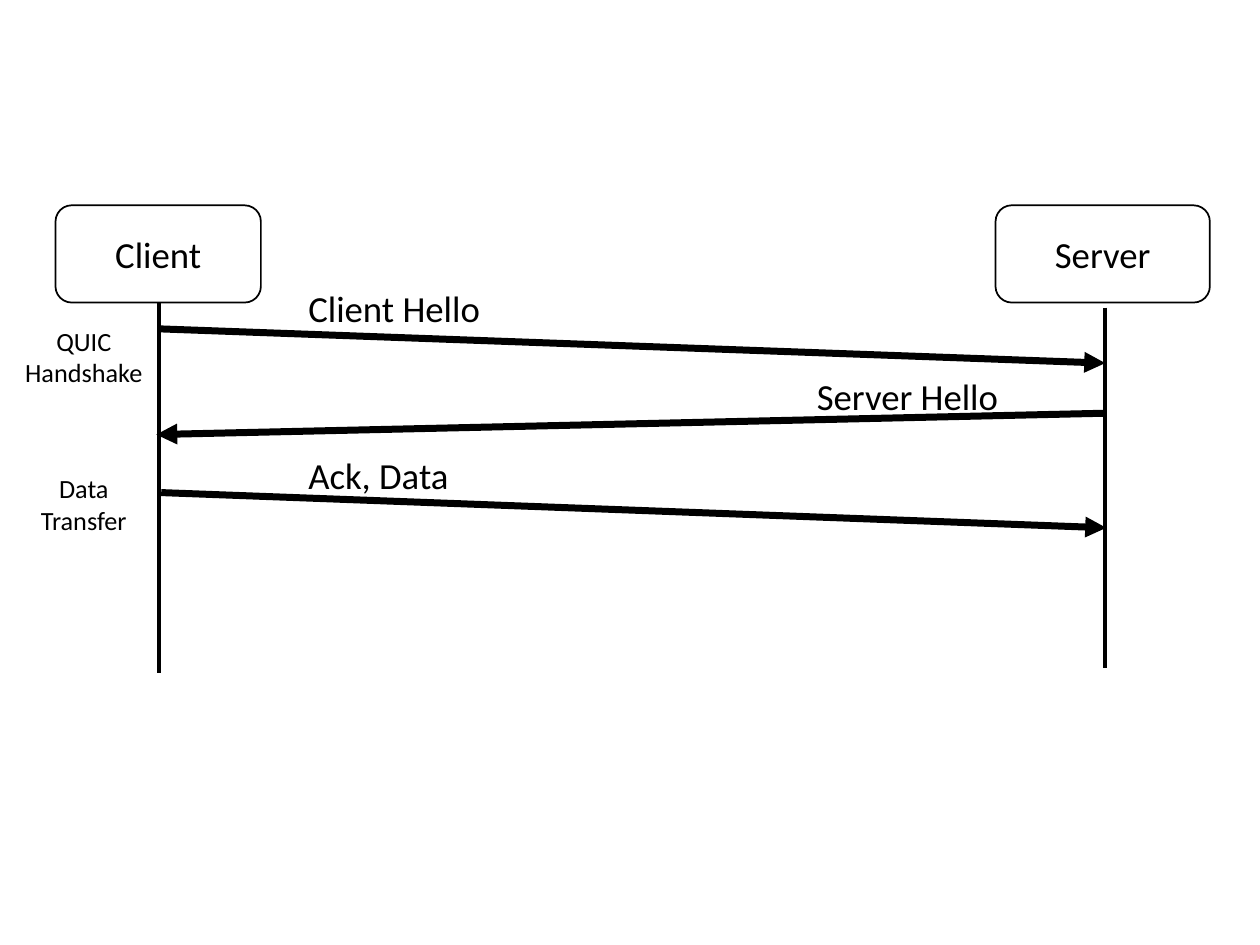
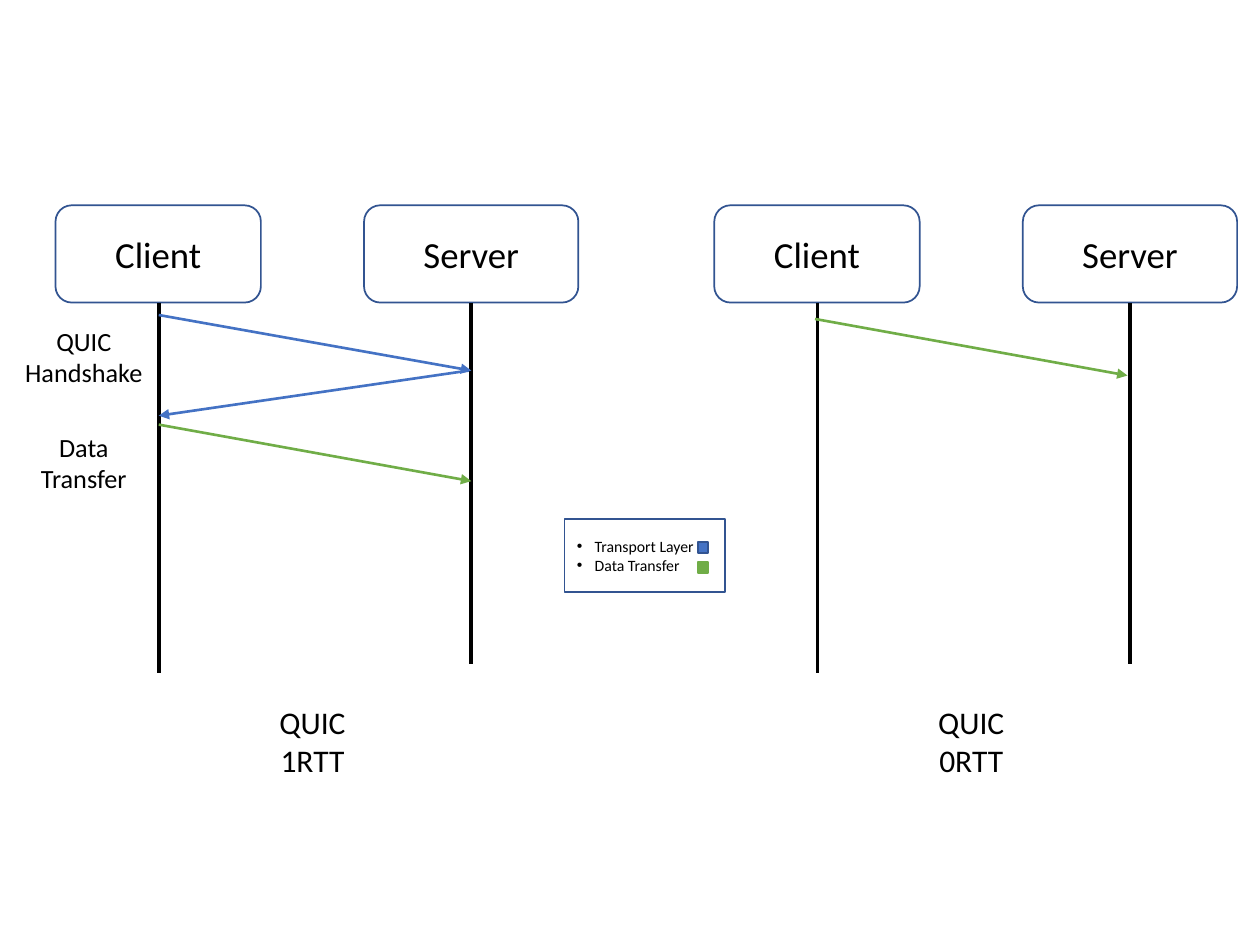
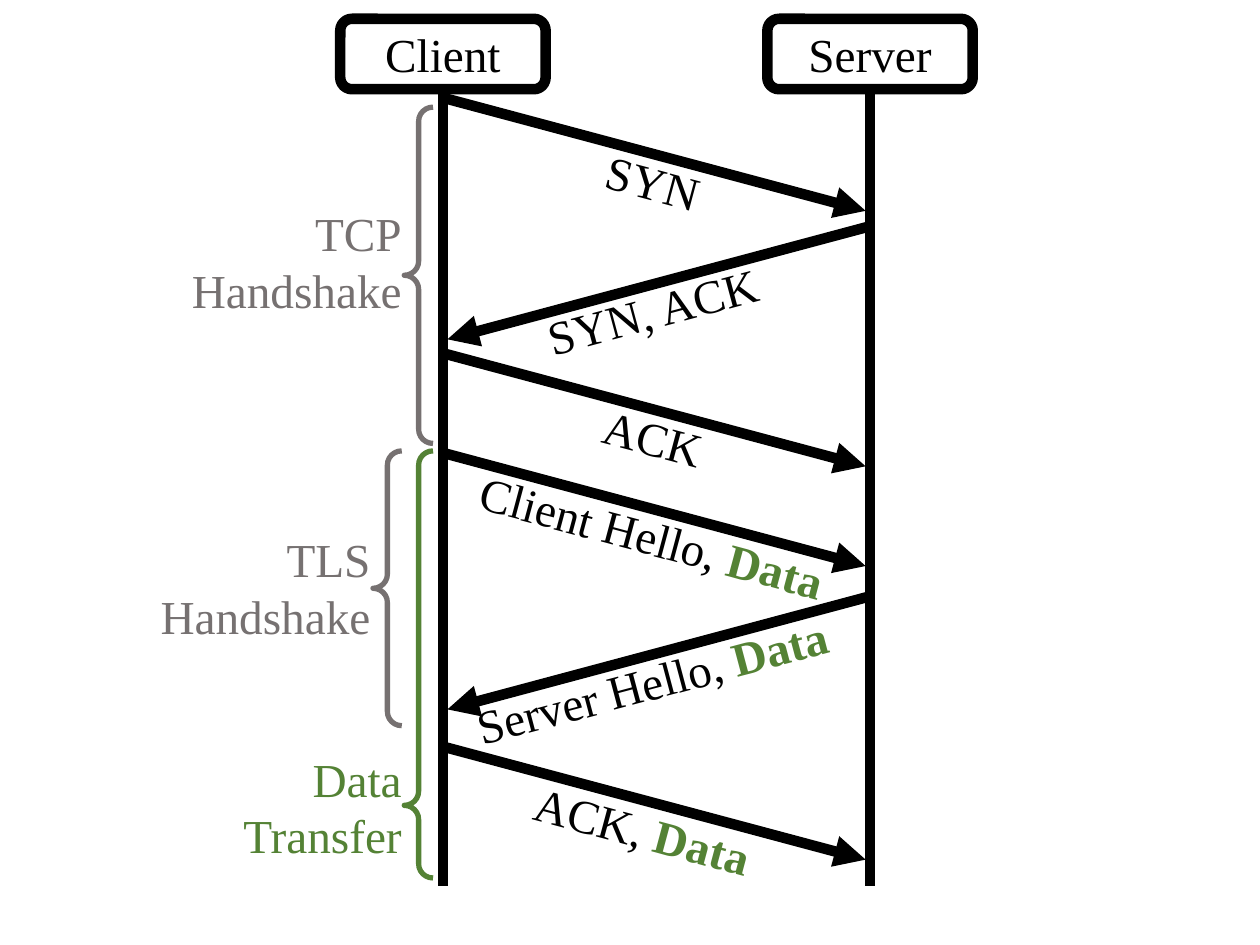
from lxml.etree import SubElement
from pptx import Presentation
from pptx.dml.color import RGBColor
from pptx.enum.shapes import MSO_CONNECTOR, MSO_SHAPE
from pptx.enum.text import MSO_ANCHOR, MSO_AUTO_SIZE, PP_ALIGN
from pptx.oxml.ns import qn
from pptx.util import Cm, Pt

BLACK = RGBColor(0x00, 0x00, 0x00)
WHITE = RGBColor(0xFF, 0xFF, 0xFF)
NAVY = RGBColor(0x32, 0x54, 0x91)
BLUE = RGBColor(0x44, 0x72, 0xC4)
GREEN = RGBColor(0x70, 0xAD, 0x47)
DARK_GREEN = RGBColor(0x54, 0x82, 0x35)
GRAY = RGBColor(0x76, 0x71, 0x71)

SANS = "Calibri"
SERIF = "Times New Roman"
LEFT, CENTER, RIGHT = PP_ALIGN.LEFT, PP_ALIGN.CENTER, PP_ALIGN.RIGHT

BOX_TOP, BOX_H = 4.14, 1.96
CLIENT_LEFT, CLIENT_W, SERVER_W = 1.12, 4.14, 4.32
CLIENT_X, CLIENT_END = 3.2, 13.56

HELLO_SERVER_LEFT = 20.07
HELLO_ARROWS = [
    (3.23, 6.63, 22.28, 7.32),
    (22.28, 8.33, 3.15, 8.76),
    (3.25, 9.93, 22.3, 10.64),
]
HELLO_LABELS = [
    ("Client Hello", 5.87, 5.23, LEFT),
    ("Server Hello", 13.28, 7.01, RIGHT),
    ("Ack, Data", 5.87, 8.59, LEFT),
]
HELLO_PHASES = [("QUIC\nHandshake", 6.43), ("Data\nTransfer", 9.4)]

RTT_SERVER_LEFT = 7.34
RTT_PANELS = [
    (0, "QUIC\n1RTT", [
        (3.2, 6.35, 9.5, 7.47, BLUE),
        (9.45, 7.47, 3.2, 8.38, BLUE),
        (3.2, 8.56, 9.5, 9.7, GREEN),
    ]),
    (13.28, "QUIC\n0RTT", [(3.15, 6.43, 9.45, 7.57, GREEN)]),
]
RTT_PHASES = [("QUIC\nHandshake", 6.43), ("Data\nTransfer", 8.56)]
LEGEND = "Transport Layer\nData Transfer"
SWATCHES = [(10.92, BLUE, NAVY), (11.33, GREEN, GREEN)]

TCP_HOSTS = [("Client", 6.86), ("Server", 15.47)]
TCP_BOX_TOP, TCP_BOX_W, TCP_BOX_H, TCP_END = 0.38, 4.14, 1.42, 17.86
TO_SERVER, TO_CLIENT = (8.89, 17.45), (17.58, 9.02)
TCP_DROP, LABEL_X, LABEL_GAP, LABEL_H = 2.29, 13.18, 0.57, 1.42
TCP_MESSAGES = [
    ("SYN", "", 1.96, 2.44),
    ("SYN, ACK", "", 4.55, 4.9),
    ("ACK", "", 7.11, 2.54),
    ("Client Hello, ", "Data", 9.12, 7.7),
    ("Server Hello, ", "Data", 12.01, 7.85),
    ("ACK, ", "Data", 15.04, 5),
]
TCP_PHASES = [
    ("TCP\vHandshake", GRAY, 8.15, 2.16, 6.78, 0.5, 3.99, 4.78),
    ("TLS\vHandshake", GRAY, 7.52, 9.09, 5.54, 0.5, 10.57, 4.78),
    ("Data\vTransfer", DARK_GREEN, 8.15, 9.09, 8.61, 0.83, 14.99, 3.73),
]


def put_text(sp, text, size=21, font=SANS, color=BLACK, align=LEFT,
             accent="", bullet=False):
    tf = sp.text_frame
    for i, line in enumerate(text.split("\n")):
        p = tf.paragraphs[0] if i == 0 else tf.add_paragraph()
        p.text = line
        p.alignment = align
        if bullet:
            pPr = p._p.get_or_add_pPr()
            pPr.set("marL", str(Cm(0.36)))
            pPr.set("indent", str(-Cm(0.36)))
            SubElement(pPr, qn("a:buFont"), typeface="Arial")
            SubElement(pPr, qn("a:buChar"), char="•")
        if accent:
            p.add_run().text = accent
        for r in p.runs:
            r.font.size = Pt(size)
            r.font.name = font
            r.font.color.rgb = color
        if accent:
            r.font.bold = True
            r.font.color.rgb = DARK_GREEN


def add_box(slide, x, y, w, h, text="", kind=MSO_SHAPE.ROUNDED_RECTANGLE,
            fill=None, line=None, width=1, **style):
    sp = slide.shapes.add_shape(kind, Cm(x), Cm(y), Cm(w), Cm(h))
    sp.shadow.inherit = False
    if fill is None:
        sp.fill.background()
    else:
        sp.fill.solid()
        sp.fill.fore_color.rgb = fill
    if line is None:
        sp.line.fill.background()
    else:
        sp.line.color.rgb = line
        sp.line.width = Pt(width)
    if text:
        sp.text_frame.word_wrap = True
        sp.text_frame.vertical_anchor = MSO_ANCHOR.MIDDLE
        put_text(sp, text, **style)
    return sp


def add_label(slide, x, y, w, h, text, wrap=True, rotation=0, **style):
    sp = slide.shapes.add_textbox(Cm(x), Cm(y), Cm(w), Cm(h))
    sp.rotation = rotation
    sp.text_frame.word_wrap = wrap
    sp.text_frame.auto_size = MSO_AUTO_SIZE.SHAPE_TO_FIT_TEXT
    put_text(sp, text, **style)


def add_line(slide, x1, y1, x2, y2, color=BLACK, width=2.25, arrow=False):
    cx = slide.shapes.add_connector(
        MSO_CONNECTOR.STRAIGHT, Cm(x1), Cm(y1), Cm(x2), Cm(y2))
    cx.line.color.rgb = color
    cx.line.width = Pt(width)
    if arrow:
        SubElement(cx.line._get_or_add_ln(), qn("a:tailEnd"), type="triangle")
    SubElement(cx._element.spPr, qn("a:effectLst"))


def add_hosts(slide, server_left, line, dx=0):
    for text, x, w in [("Client", CLIENT_LEFT, CLIENT_W),
                       ("Server", server_left, SERVER_W)]:
        add_box(slide, x + dx, BOX_TOP, w, BOX_H, text, line=line, align=CENTER)
    add_line(slide, CLIENT_X + dx, BOX_TOP + BOX_H, CLIENT_X + dx, CLIENT_END)


def add_phases(slide, phases):
    for text, y in phases:
        add_label(slide, -0.48, y, 4.34, 1.55, text, size=15, align=CENTER)


def build_hello(slide):
    add_hosts(slide, HELLO_SERVER_LEFT, BLACK)
    add_line(slide, 22.28, 6.2, 22.28, 13.46)
    for ends in HELLO_ARROWS:
        add_line(slide, *ends, width=4, arrow=True)
    for text, x, y, align in HELLO_LABELS:
        add_box(slide, x, y, 7.19, BOX_H, text, align=align)
    add_phases(slide, HELLO_PHASES)


def build_rtt(slide):
    for dx, caption, arrows in RTT_PANELS:
        add_hosts(slide, RTT_SERVER_LEFT, NAVY, dx)
        server_x = RTT_SERVER_LEFT + SERVER_W / 2 + dx
        add_line(slide, server_x, BOX_TOP + BOX_H, server_x, 13.39)
        for x1, y1, x2, y2, color in arrows:
            add_line(slide, x1 + dx, y1, x2 + dx, y2, color, 1.5, arrow=True)
        add_label(slide, 3.76 + dx, 14.05, 5.08, 1.8, caption,
                  size=18, align=CENTER)
    add_phases(slide, RTT_PHASES)
    add_box(slide, 11.38, 10.46, 3.23, 1.47, LEGEND, kind=MSO_SHAPE.RECTANGLE,
            fill=WHITE, line=NAVY, size=9, bullet=True)
    for y, fill, line in SWATCHES:
        add_box(slide, 14.07, y, 0.2, 0.23, kind=MSO_SHAPE.RECTANGLE,
                fill=fill, line=line)


def build_tcp(slide):
    style = dict(size=27, font=SERIF)
    for text, x in TCP_HOSTS:
        add_box(slide, x, TCP_BOX_TOP, TCP_BOX_W, TCP_BOX_H, text, fill=WHITE,
                line=BLACK, width=6, align=CENTER, **style)
        mid = x + TCP_BOX_W / 2
        add_line(slide, mid, TCP_BOX_TOP + TCP_BOX_H, mid, TCP_END, width=6)
    for text, accent, y, w in TCP_MESSAGES:
        reply = text.startswith(("SYN,", "Server"))
        x1, x2 = TO_CLIENT if reply else TO_SERVER
        add_line(slide, x1, y, x2, y + TCP_DROP, width=6, arrow=True)
        center_x = LABEL_X - (0.2 if text == "ACK, " else 0)
        top = y + TCP_DROP / 2 + LABEL_GAP - LABEL_H / 2
        add_label(slide, center_x - w / 2, top, w, LABEL_H, text, wrap=False,
                  rotation=345 if reply else 15, accent=accent, **style)
    for text, color, x, y, h, tip, label_y, w in TCP_PHASES:
        sp = add_box(slide, x, y, 0.58, h, kind=MSO_SHAPE.LEFT_BRACE,
                     line=color, width=3)
        sp.adjustments[0] = 0.49
        sp.adjustments[1] = tip
        add_label(slide, x + 0.2 - w, label_y, w, 2.57, text, wrap=False,
                  color=color, align=RIGHT, **style)


def main():
    prs = Presentation()
    prs.slide_width, prs.slide_height = Cm(25.4), Cm(19.05)
    for build in (build_hello, build_rtt, build_tcp):
        build(prs.slides.add_slide(prs.slide_layouts[6]))
    prs.save("out.pptx")


if __name__ == "__main__":
    main()
